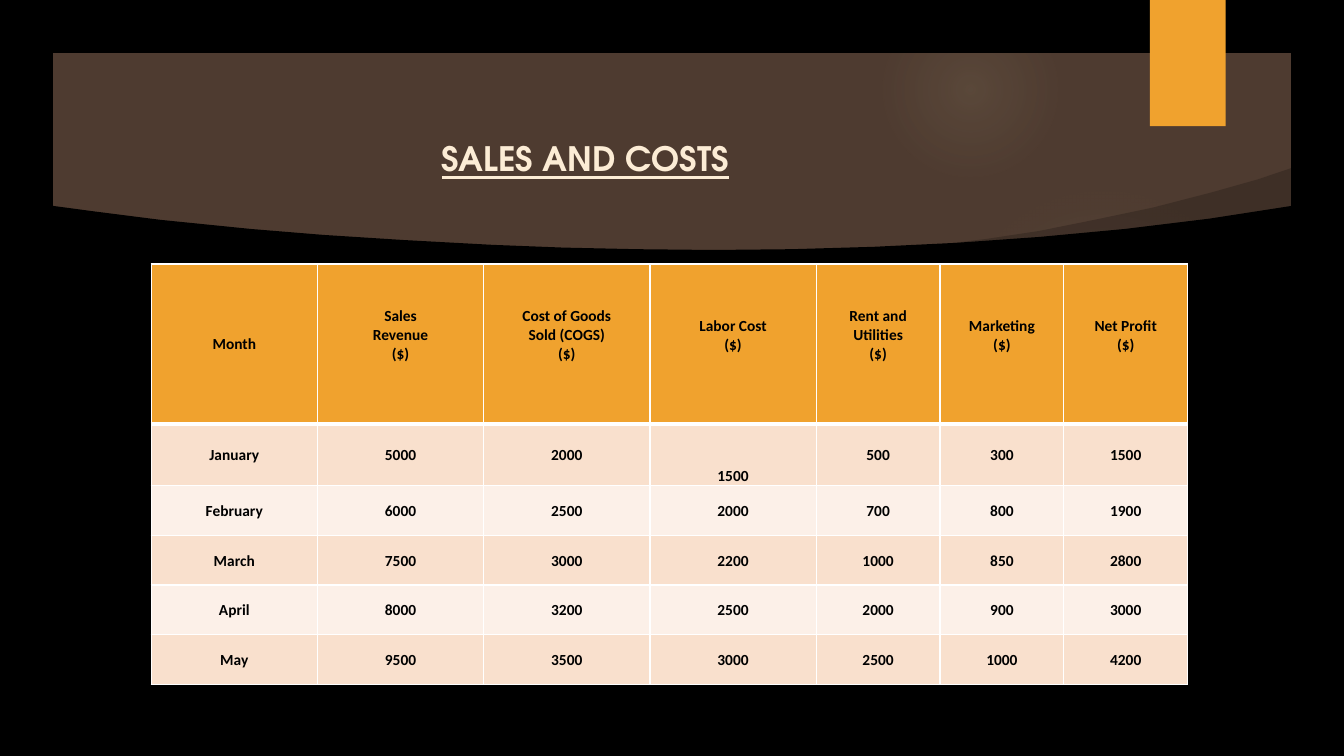
"""Build the sales and costs slide with its curved banner and monthly table."""
from typing import NamedTuple

from pptx import Presentation
from pptx import util as u
from pptx.dml.color import RGBColor
from pptx.enum import shapes, text
from pptx.oxml import parse_xml
from pptx.oxml.ns import nsdecls, qn

Cm, Pt = u.Cm, u.Pt
BLACK, WHITE, AMBER, BROWN = "000000", "FFFFFF", "F0A22E", "4E3B30"
CREAM, GLOW, BANDS = "FCECD5", "A19574", ("F9E0CD", "FCF0E8")


class Glow(NamedTuple):
    """A soft round light: place, diameter and (position, opacity) stops."""
    left: float
    top: float
    size: float
    stops: tuple


class Outline(NamedTuple):
    """A filled polygon with points in hundredths of a centimetre."""
    points: tuple
    opacity: int


GLOWS = (
    Glow(23.9, 4.65, 7.82, ((0, 7), (36, 6), (69, 0))),
    Glow(22.23, 0.03, 4.45, ((0, 14), (36, 7), (73, 0))),
)
FOLD = Outline((
    (2362, 617), (2487, 602), (2619, 582), (2758, 554), (2906, 523), (3053, 485),
    (3170, 452), (3259, 422), (3274, 544), (2870, 605), (2372, 635)), 20)
PANEL = Outline((
    (127, 518), (239, 533), (404, 554), (632, 577), (815, 592), (1019, 605),
    (1240, 617), (1420, 624), (1605, 628), (1798, 630), (1996, 628), (2202, 622),
    (2410, 612), (2621, 597), (2835, 577), (3048, 551), (3261, 518),
    (3261, 1778), (127, 1778)), 100)

HEADERS = ("Month", "Sales\vRevenue\v($)", "Cost of Goods\vSold (COGS)\v($)",
           "Labor Cost\v($)", "Rent and\vUtilities\v($)", "Marketing\v($)",
           "Net Profit\v($)")
MONTHS = (
    ("January", 5000, 2000, 1500, 500, 300, 1500),
    ("February", 6000, 2500, 2000, 700, 800, 1900),
    ("March", 7500, 3000, 2200, 1000, 850, 2800),
    ("April", 8000, 3200, 2500, 2000, 900, 3000),
    ("May", 9500, 3500, 3000, 2500, 1000, 4200),
)
WIDTHS = [4.19] * 4 + [3.12] * 3
HEIGHTS = [4.04, 1.55] + [1.25] * 4


def rgb(value: str) -> RGBColor:
    return RGBColor.from_string(value)


def paint(sp, color: str) -> None:
    sp.shadow.inherit = False
    sp.fill.solid()
    sp.fill.fore_color.rgb = rgb(color)
    sp.line.fill.background()


def add_preset(s, kind, left: float, top: float, width: float, height: float, color: str):
    sp = s.shapes.add_shape(kind, Cm(left), Cm(top), Cm(width), Cm(height))
    paint(sp, color)
    return sp


def add_glow(s, glow: Glow) -> None:
    sp = add_preset(s, shapes.MSO_SHAPE.OVAL, glow.left, glow.top, glow.size, glow.size, GLOW)
    stops = "".join(
        f'<a:gs pos="{pos * 1000}"><a:srgbClr val="{GLOW}">'
        f'<a:alpha val="{opacity * 1000}"/></a:srgbClr></a:gs>' for pos, opacity in glow.stops)
    gradient = parse_xml(
        f'<a:gradFill {nsdecls("a")} rotWithShape="1"><a:gsLst>{stops}</a:gsLst>'
        '<a:path path="circle"><a:fillToRect l="50000" t="50000" r="50000" b="50000"/>'
        '</a:path></a:gradFill>')
    solid = sp._element.spPr.find(qn("a:solidFill"))
    solid.getparent().replace(solid, gradient)


def add_outline(s, outline: Outline) -> None:
    start, *rest = outline.points
    builder = s.shapes.build_freeform(*start, scale=Cm(0.01))
    builder.add_line_segments(rest, close=True)
    sp = builder.convert_to_shape()
    paint(sp, BLACK)
    if outline.opacity < 100:
        color = sp._element.spPr.find(qn("a:solidFill"))[0]
        color.append(parse_xml(f'<a:alpha {nsdecls("a")} val="{outline.opacity * 1000}"/>'))


def format_text(p, font: str, size: float, color: str) -> None:
    p.alignment = text.PP_ALIGN.CENTER
    for r in p.runs:
        r.font.name, r.font.size, r.font.bold = font, Pt(size), True
        r.font.color.rgb = rgb(color)


def add_title(s) -> None:
    tf = s.shapes.add_textbox(Cm(2.59), Cm(3), Cm(24.33), Cm(1.96)).text_frame
    tf.word_wrap = True
    tf.vertical_anchor = text.MSO_ANCHOR.MIDDLE
    p = tf.paragraphs[0]
    p.text = "SALES AND COSTS"
    format_text(p, "TeX Gyre Adventor", 24, CREAM)
    p.runs[0].font.underline = True


def set_borders(cell, top: float, bottom: float) -> None:
    tc_pr = cell._tc.get_or_add_tcPr()
    sides = (("L", 1), ("R", 1), ("T", top), ("B", bottom))
    for i, (side, points) in enumerate(sides):
        tc_pr.insert(i, parse_xml(
            f'<a:ln{side} {nsdecls("a")} w="{Pt(points)}"><a:solidFill>'
            f'<a:srgbClr val="{WHITE}"/></a:solidFill></a:ln{side}>'))


def add_sales_table(s) -> None:
    rows = (HEADERS,) + MONTHS
    table = s.shapes.add_table(len(rows), len(HEADERS), Cm(3.81), Cm(6.65),
                               Cm(sum(WIDTHS)), Cm(sum(HEIGHTS))).table
    for column, width in zip(table.columns, WIDTHS):
        column.width = Cm(width)
    for i, (row, values) in enumerate(zip(table.rows, rows)):
        row.height = Cm(HEIGHTS[i])
        for cell, value in zip(row.cells, values):
            cell.margin_left = cell.margin_right = cell.margin_top = Cm(0.03)
            cell.margin_bottom = Cm(0.47 if "\v" in str(value) else 0)
            cell.vertical_anchor = text.MSO_ANCHOR.MIDDLE
            cell.fill.solid()
            cell.fill.fore_color.rgb = rgb(BANDS[(i - 1) % 2] if i else AMBER)
            set_borders(cell, 3 if i == 1 else 1, 1 if i else 3)
            p = cell.text_frame.paragraphs[0]
            p.text = str(value)
            format_text(p, "Calibri", 11, BLACK)
    table.cell(1, 3).vertical_anchor = text.MSO_ANCHOR.BOTTOM


def main() -> None:
    prs = Presentation()
    prs.slide_width, prs.slide_height = Cm(33.87), Cm(19.05)
    s = prs.slides.add_slide(prs.slide_layouts[6])
    s.background.fill.solid()
    s.background.fill.fore_color.rgb = rgb(BROWN)
    for glow in GLOWS:
        add_glow(s, glow)
    for outline in (FOLD, PANEL):
        add_outline(s, outline)
    frame = add_preset(s, shapes.MSO_SHAPE.FRAME, 0, 0, 33.87, 19.05, BLACK)
    frame.adjustments[0] = 0.07
    add_preset(s, shapes.MSO_SHAPE.RECTANGLE, 28.98, 0, 1.91, 3.18, AMBER)
    add_title(s)
    add_sales_table(s)
    prs.save("out.pptx")


if __name__ == "__main__":
    main()
